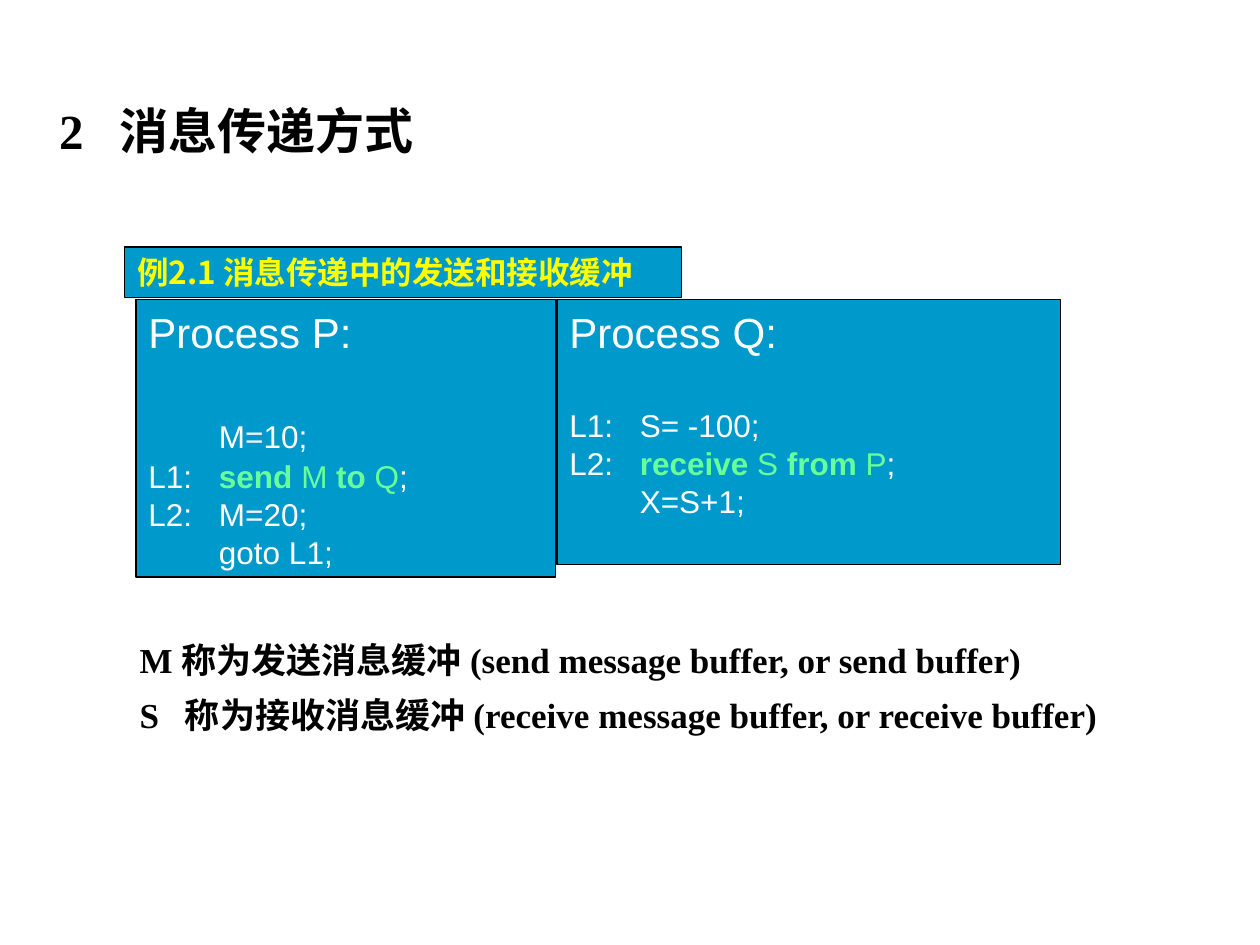
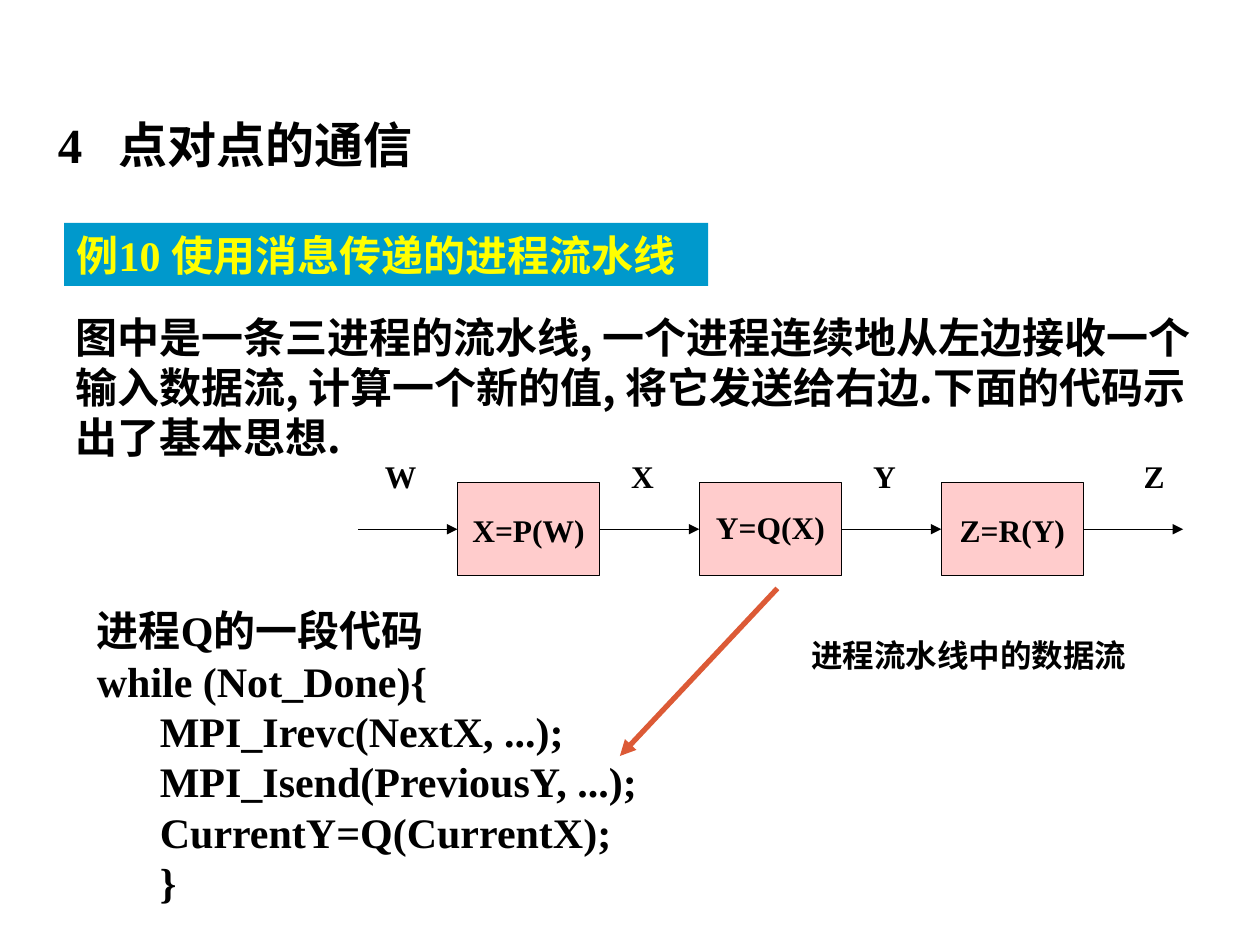
from lxml import etree
from pptx import Presentation
from pptx.dml.color import RGBColor
from pptx.enum import shapes, text
from pptx.oxml import ns
from pptx.util import Inches, Pt

BLACK = RGBColor(0x00, 0x00, 0x00)
WHITE = RGBColor(0xFF, 0xFF, 0xFF)
BLUE = RGBColor(0x00, 0x99, 0xCC)
YELLOW = RGBColor(0xFF, 0xFF, 0x00)
GREEN = RGBColor(0x66, 0xFF, 0x99)
PINK = RGBColor(0xFF, 0xCC, 0xCC)
ORANGE = RGBColor(0xDC, 0x5A, 0x36)
SERIF, SANS, CJK = "Times New Roman", "Arial", "Noto Sans CJK SC"


def write(sp, paras, size, color=BLACK, font=SERIF, bold=True, wrap=False,
          tab=None, **para_format):
    """Fill a shape; a paragraph is a string or a list of (text, font values)."""
    tf = sp.text_frame
    tf.auto_size = text.MSO_AUTO_SIZE.NONE
    tf.vertical_anchor = text.MSO_ANCHOR.TOP
    tf.word_wrap = wrap
    for i, runs in enumerate(paras):
        p = tf.add_paragraph() if i else tf.paragraphs[0]
        if tab:
            tabs = etree.SubElement(p._p.get_or_add_pPr(), ns.qn("a:tabLst"))
            etree.SubElement(tabs, ns.qn("a:tab"), pos=str(Inches(tab)), algn="l")
        for name, value in ({"alignment": text.PP_ALIGN.LEFT} | para_format).items():
            setattr(p, name, value)
        for words, special in [(runs, {})] if isinstance(runs, str) else runs:
            values = {"size": Pt(size), "name": font, "bold": bold, "color": color} | special
            r = p.add_run()
            r.text = words
            r.font.color.rgb = values.pop("color")
            for name, value in values.items():
                setattr(r.font, name, value)
            etree.SubElement(r._r.get_or_add_rPr(), ns.qn("a:ea"), typeface=CJK)


def add_box(s, at, paras, size, fill=None, line=None, **style):
    """Add a filled rectangle, or a plain text box when there is no fill."""
    at = [Inches(v) for v in at]
    if fill is None:
        sp = s.shapes.add_textbox(*at)
    else:
        sp = s.shapes.add_shape(shapes.MSO_SHAPE.RECTANGLE, *at)
        sp.shadow.inherit = False
        sp.fill.solid()
        sp.fill.fore_color.rgb = fill
        if line is None:
            sp.line.fill.background()
        else:
            sp.line.color.rgb = line
            sp.line.width = Pt(0.75)
    write(sp, paras, size, **style)
    return sp


prs = Presentation()
prs.slide_width, prs.slide_height = Inches(10), Inches(7.5)

slides = []
for title, left, top in [("2\t消息传递方式", 0.37, 0.75), ("4\t点对点的通信", 0.36, 0.86)]:
    s = prs.slides.add_slide(prs.slide_layouts[5])
    sp = s.shapes.title
    sp.left, sp.top, sp.width, sp.height = (Inches(v) for v in (left, top, 3.2, 0.57))
    write(sp, [title], 28, wrap=True, tab=0.48)
    slides.append(s)
buffers, pipeline = slides

# Slide 1: send and receive buffers
keyword = {"color": GREEN, "bold": True}
operand = {"color": GREEN}
process_p = ["Process P:", "\tM=10;",
             [("L1:\t", {}), ("send ", keyword), ("M ", operand), ("to", keyword),
              (" Q", operand), (";", {})],
             "L2:\tM=20;", "\tgoto L1;"]
process_q = ["Process Q:", "L1:\tS= -100;",
             [("L2:\t", {}), ("receive ", keyword), ("S ", operand), ("from", keyword),
              (" P", operand), (";", {})],
             "\tX=S+1;"]
for at, code, gap, after in [((1.08, 2.38, 3.33, 2.2), process_p, 34.5, 1.5),
                             ((4.42, 2.38, 4, 2.1), process_q, 28.5, 0)]:
    sp = add_box(buffers, at, code, 18, BLUE, BLACK, color=WHITE, font=SANS,
                 bold=False, wrap=True, tab=0.56)
    heading, first_line = sp.text_frame.paragraphs[:2]
    heading.runs[0].font.size = Pt(24)
    first_line.space_before, first_line.space_after = Pt(gap), Pt(after)

add_box(buffers, (0.99, 1.96, 4.42, 0.4), ["例2.1 消息传递中的发送和接收缓冲"], 18,
        BLUE, BLACK, color=YELLOW, font=CJK)
add_box(buffers, (1.01, 4.92, 7.91, 0.97),
        ["M 称为发送消息缓冲 (send message buffer, or send buffer)",
         "S\t称为接收消息缓冲 (receive message buffer, or receive buffer)"],
        20, tab=0.36, line_spacing=1.3)

# Slide 2: process pipeline
add_box(pipeline, (0.51, 1.77, 5.11, 0.5), ["例10 使用消息传递的进程流水线"], 24,
        BLUE, color=YELLOW)

STAGE_LEFT, STAGE_TOP, STAGE_W, STAGE_H, PITCH = 3.63, 3.83, 1.13, 0.74, 1.92
ARROW_Y, ARROW_W = STAGE_TOP + STAGE_H / 2, 0.79
stages = []
for i, (formula, spacing) in enumerate([("X=P(W)", 1.6), ("Y=Q(X)", 1.5), ("Z=R(Y)", 1.6)]):
    at = (STAGE_LEFT + i * PITCH, STAGE_TOP, STAGE_W, STAGE_H)
    stages.append(add_box(pipeline, at, [formula], 18, PINK, BLACK, wrap=True,
                          alignment=text.PP_ALIGN.CENTER, line_spacing=spacing))

for label, left in zip("WXYZ", (2.84, 4.76, 6.68, 8.82)):
    add_box(pipeline, (left, 3.58, 0.68, 0.74), [label], 18, wrap=True,
            alignment=text.PP_ALIGN.CENTER)

arrows = []
for i in range(len(stages) + 1):
    end = STAGE_LEFT + i * PITCH
    c = pipeline.shapes.add_connector(shapes.MSO_CONNECTOR.STRAIGHT, Inches(end - ARROW_W),
                                      Inches(ARROW_Y), Inches(end), Inches(ARROW_Y))
    if i > 0:
        c.begin_connect(stages[i - 1], 3)
    if i < len(stages):
        c.end_connect(stages[i], 1)
    arrows.append((c, BLACK, 0.75))
code_pointer = pipeline.shapes.add_connector(shapes.MSO_CONNECTOR.STRAIGHT, Inches(6.17),
                                             Inches(4.67), Inches(4.92), Inches(6))
arrows.append((code_pointer, ORANGE, 3))
for c, color, width in arrows:
    c.line.color.rgb = color
    c.line.width = Pt(width)
    etree.SubElement(c.line._get_or_add_ln(), ns.qn("a:tailEnd"), type="triangle")
    etree.SubElement(c._element.spPr, ns.qn("a:effectLst"))

add_box(pipeline, (6.34, 5, 2.7, 0.4), ["进程流水线中的数据流"], 18, font=CJK)
add_box(pipeline, (0.5, 2.42, 9.25, 1.3),
        ["图中是一条三进程的流水线, 一个进程连续地从左边接收一个输入数据流, "
         "计算一个新的值, 将它发送给右边.下面的代码示出了基本思想."],
        24, font=CJK, wrap=True)
sp = add_box(pipeline, (0.67, 4.75, 4.52, 2.5),
             ["进程Q的一段代码", "while (Not_Done){", "MPI_Irevc(NextX, ...);",
              "MPI_Isend(PreviousY, ...);", "CurrentY=Q(CurrentX);", "}"], 24)
for p in sp.text_frame.paragraphs[2:]:
    p.level = 1
    p._p.get_or_add_pPr().set("marL", str(Inches(0.5)))

prs.save("out.pptx")
